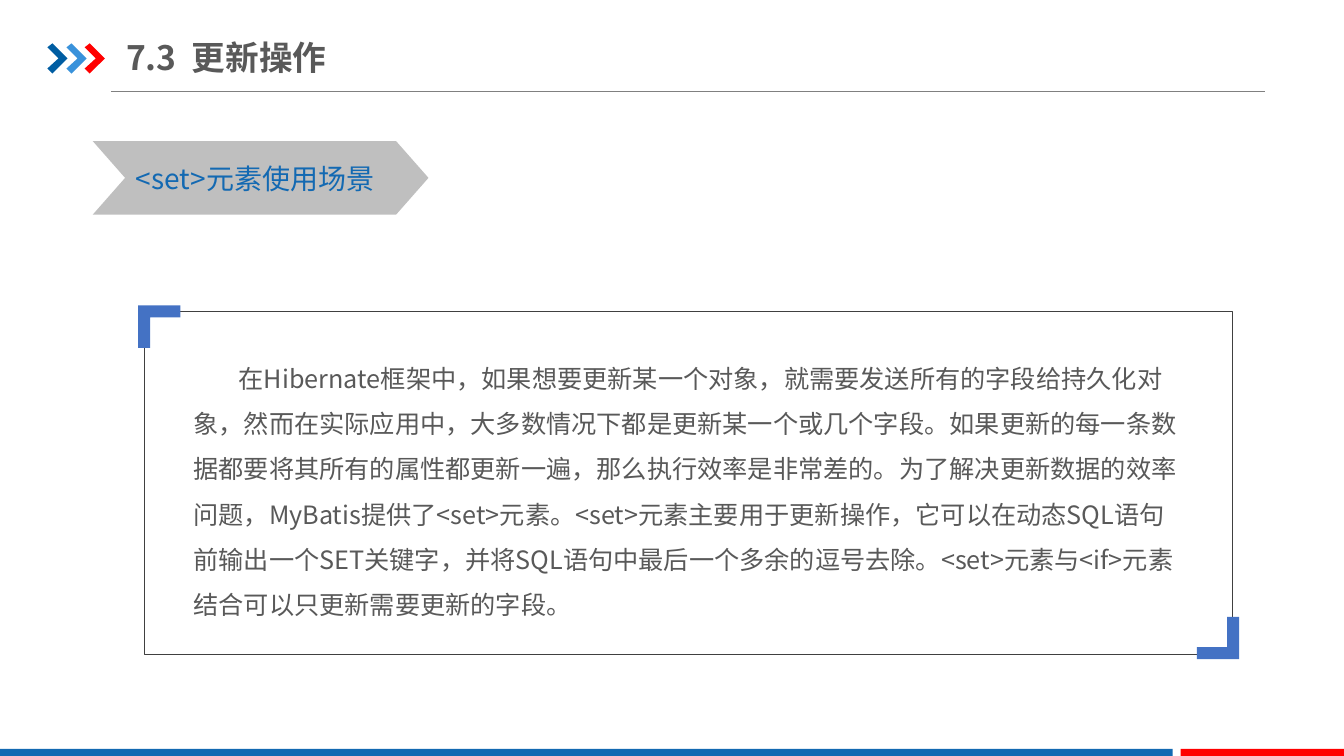
from lxml import etree
from pptx import Presentation
from pptx import util as u
from pptx.dml.color import RGBColor
from pptx.enum import shapes, text
from pptx.oxml import ns

Inches = u.Inches
FONT = "Noto Sans CJK SC"
BLUE = RGBColor(0x13, 0x69, 0xB2)
DARK_BLUE = RGBColor(0x00, 0x5D, 0xA2)
LIGHT_BLUE = RGBColor(0x39, 0x92, 0xDB)
CORNER_BLUE = RGBColor(0x44, 0x72, 0xC4)
RED = RGBColor(0xFF, 0x00, 0x00)
TEXT_GRAY = RGBColor(0x59, 0x59, 0x59)
RULE_GRAY = RGBColor(0x80, 0x80, 0x80)
BANNER_GRAY = RGBColor(0xBF, 0xBF, 0xBF)
FRAME_GRAY = RGBColor(0x40, 0x40, 0x40)

SCENARIO = (
    "在Hibernate框架中，如果想要更新某一个对象，就需要发送所有的字段给持久化对象，"
    "然而在实际应用中，大多数情况下都是更新某一个或几个字段。"
    "如果更新的每一条数据都要将其所有的属性都更新一遍，那么执行效率是非常差的。"
    "为了解决更新数据的效率问题，MyBatis提供了<set>元素。"
    "<set>元素主要用于更新操作，它可以在动态SQL语句前输出一个SET关键字，"
    "并将SQL语句中最后一个多余的逗号去除。"
    "<set>元素与<if>元素结合可以只更新需要更新的字段。"
)


class SlideBuilder:
    def __init__(self, presentation):
        self.slide = presentation.slides.add_slide(presentation.slide_layouts[5])
        self.shapes = self.slide.shapes

    def paint(self, shape, fill=None, line=None, width=0):
        shape.shadow.inherit = False
        if fill is None:
            shape.fill.background()
        else:
            shape.fill.solid()
            shape.fill.fore_color.rgb = fill
        if line is None:
            shape.line.fill.background()
        else:
            shape.line.color.rgb = line
            shape.line.width = u.Pt(width)
        return shape

    def preset(self, kind, box, **style):
        shape = self.shapes.add_shape(kind, *map(Inches, box))
        return self.paint(shape, **style)

    def outline(self, points, fill):
        points = [(Inches(x), Inches(y)) for x, y in points]
        builder = self.shapes.build_freeform(*points[0])
        builder.add_line_segments(points[1:], close=True)
        return self.paint(builder.convert_to_shape(), fill=fill)

    def rule(self, left, right, y, color, width):
        line = self.shapes.add_connector(
            shapes.MSO_CONNECTOR.STRAIGHT, *map(Inches, (left, y, right, y)))
        line.line.color.rgb = color
        line.line.width = u.Pt(width)
        etree.SubElement(line._element.spPr, ns.qn("a:effectLst"))

    def set_text(self, frame, content, size, color, bold=False, spacing=None, indent=0):
        frame.text = content
        paragraph = frame.paragraphs[0]
        paragraph.alignment = text.PP_ALIGN.LEFT
        paragraph.line_spacing = spacing
        if indent:
            paragraph._p.get_or_add_pPr().set("indent", str(Inches(indent)))
        font = paragraph.font
        font.size, font.bold, font.name = u.Pt(size), bold, FONT
        font.color.rgb = color
        east_asian = etree.SubElement(font._rPr, ns.qn("a:ea"))
        east_asian.set("typeface", FONT)

    def title(self, box, content, size, color):
        title = self.shapes.title
        title.left, title.top, title.width, title.height = map(Inches, box)
        frame = title.text_frame
        frame.auto_size = text.MSO_AUTO_SIZE.NONE
        frame.vertical_anchor = text.MSO_ANCHOR.MIDDLE
        frame.margin_left = frame.margin_right = 0
        frame.margin_top = frame.margin_bottom = Inches(0.07)
        self.set_text(frame, content, size, color, bold=True)

    def textbox(self, box, content, size, color, wrap=True, **style):
        frame = self.shapes.add_textbox(*map(Inches, box)).text_frame
        frame.word_wrap = wrap
        frame.auto_size = text.MSO_AUTO_SIZE.SHAPE_TO_FIT_TEXT
        self.set_text(frame, content, size, color, **style)


def main():
    presentation = Presentation()
    presentation.slide_width = Inches(13.33)
    presentation.slide_height = Inches(7.5)
    page = SlideBuilder(presentation)

    # Header: arrows, title and rule
    page.rule(1.1, 12.55, 0.91, RULE_GRAY, 0.5)
    arrow = [(0, 0.04), (0.05, 0), (0.2, 0.15), (0.05, 0.3), (0, 0.25), (0.11, 0.15)]
    for left, color in ((0.47, DARK_BLUE), (0.66, LIGHT_BLUE), (0.84, RED)):
        page.outline([(left + x, 0.43 + y) for x, y in arrow], color)
    page.title((1.25, 0.29, 2.42, 0.55), "7.3  更新操作", 24, TEXT_GRAY)

    # Footer bars
    for left, width, color in ((0, 11.63, BLUE), (11.71, 1.62, RED)):
        page.preset(shapes.MSO_SHAPE.RECTANGLE, (left, 7.43, width, 0.09), fill=color)

    # Section banner
    banner = page.preset(
        shapes.MSO_SHAPE.CHEVRON, (0.92, 1.4, 3.33, 0.73), fill=BANNER_GRAY)
    banner.adjustments[0] = 0.44
    page.textbox((1.25, 1.55, 2.78, 0.44), "<set>元素使用场景", 20, BLUE, wrap=False)

    # Framed explanation
    page.textbox((1.82, 3.4, 9.97, 2.78), SCENARIO, 18, TEXT_GRAY,
                 spacing=1.5, indent=0.45)
    page.preset(shapes.MSO_SHAPE.RECTANGLE, (1.43, 3.09, 10.79, 3.4),
                line=FRAME_GRAY, width=0.25)

    # Corner marks, the second one turned by half a circle
    corner = [(0, 0), (0.42, 0), (0.42, 0.12), (0.12, 0.12), (0.12, 0.42), (0, 0.42)]
    for left, top, direction in ((1.37, 3.03, 1), (12.29, 6.54, -1)):
        page.outline([(left + direction * x, top + direction * y) for x, y in corner],
                     CORNER_BLUE)

    presentation.save("out.pptx")


if __name__ == "__main__":
    main()
